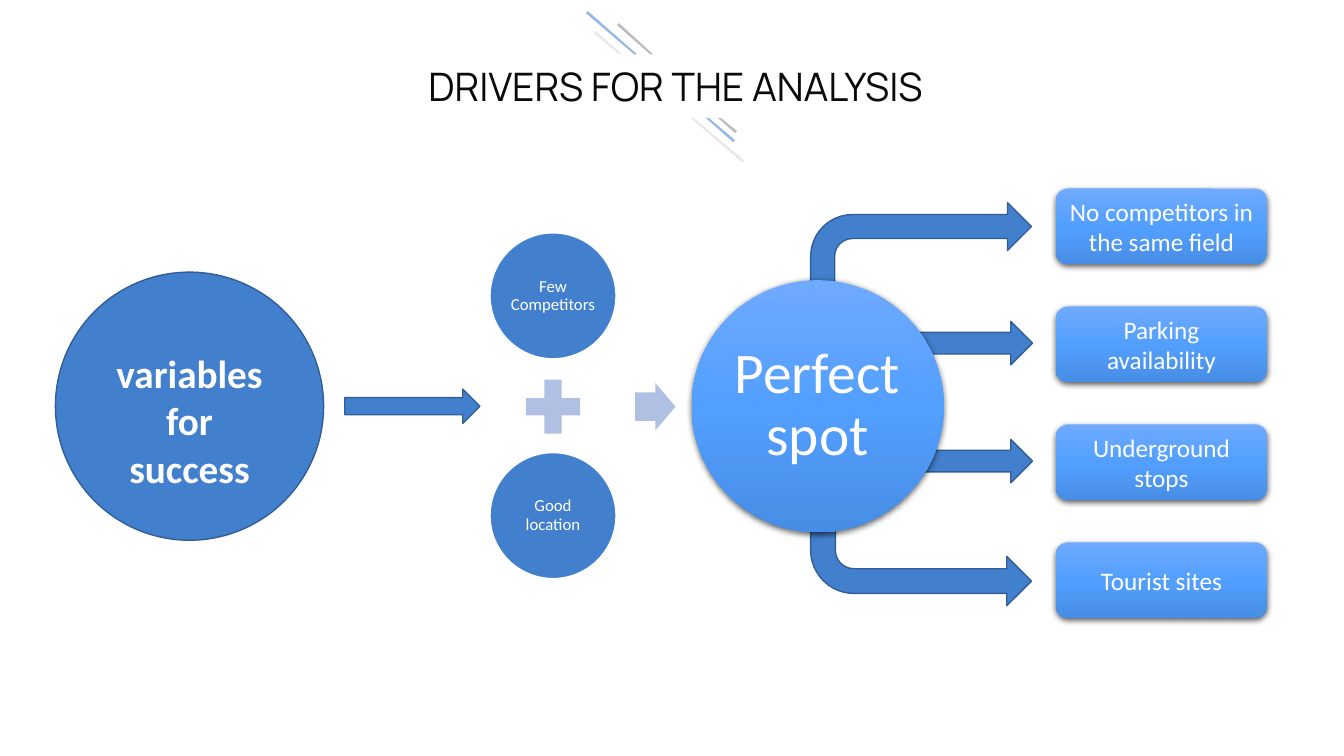
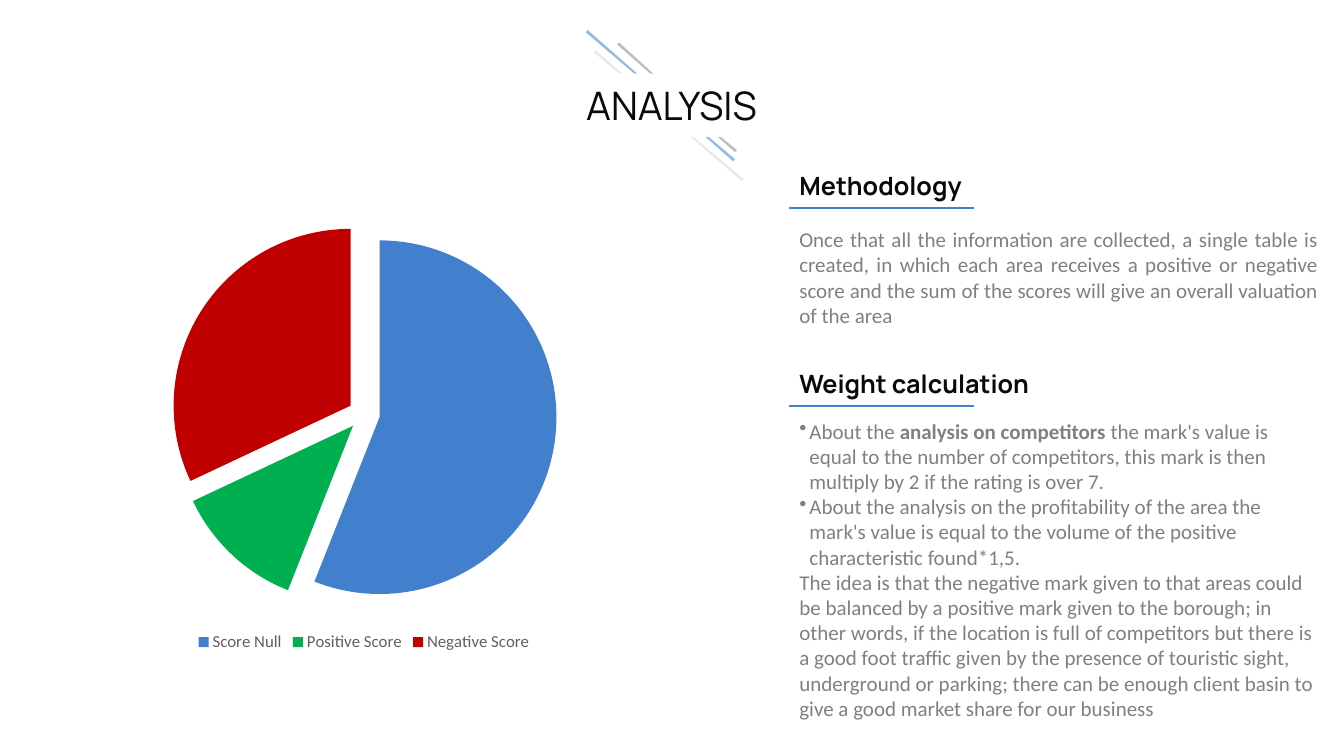
from lxml import etree
from pptx import Presentation
from pptx.chart.data import CategoryChartData as ChartData
from pptx.dml.color import RGBColor as RGB
from pptx.enum.chart import XL_CHART_TYPE as Chart, XL_LEGEND_POSITION as Legend
from pptx.enum.shapes import MSO_CONNECTOR as Line, MSO_SHAPE as Shape
from pptx.enum.text import MSO_ANCHOR as Anchor, PP_ALIGN as Align
from pptx.oxml import parse_xml
from pptx.oxml.ns import nsdecls, qn
from pptx.util import Inches, Pt

# Shared look
BLUE, NAVY, PALE = RGB(0x42, 0x7F, 0xCC), RGB(0x31, 0x5E, 0x97), RGB(0xB0, 0xC0, 0xE2)
INK, WHITE, TEXT = RGB(0x0A, 0x0A, 0x0A), RGB(255, 255, 255), RGB(0x80, 0x80, 0x80)
MIST, STONE, SLATE = RGB(0xD8, 0xD8, 0xD8), RGB(0x87, 0x87, 0x87), RGB(0x60, 0x60, 0x60)
GREEN, RED = RGB(0, 0xB0, 0x50), RGB(0xC0, 0, 0)
GLOSS = (0, "6EAAFF"), (50, "539FFF"), (100, "478DE5")
HEAD, BODY = "Manrope", "Calibri"
WIDE, HIGH = 13.33, 7.5

# Stripes: colour, base x and y, tip x and y, below the top of the mark
STRIPES = [
    (MIST, 6.14, 0.43, 5.89, 0.22), (BLUE, 6.29, 0.43, 5.81, 0.02),
    (STONE, 6.45, 0.43, 6.12, 0.14), (MIST, 6.85, 1.06, 7.36, 1.5),
    (BLUE, 7, 1.06, 7.27, 1.3), (STONE, 7.12, 1.06, 7.29, 1.21),
]

# Content of the drivers slide
CAUSE = "variables for success"
FACTORS = ["Few Competitors", "Good location"]
GOAL = "Perfect spot"
SPOTS = ["No competitors in the same field", "Parking availability",
         "Underground stops", "Tourist sites"]

# Content of the analysis slide
SCORES = [("Score Null", 56, BLUE), ("Positive Score", 12, GREEN), ("Negative Score", 32, RED)]
METHOD = ("Once that all the information are collected, a single table is created, in which "
          "each area receives a positive or negative score and the sum of the scores will "
          "give an overall valuation of the area")
# Each paragraph: has a bullet, then runs of text and bold
WEIGHT = [
    (True, [("About the ", False), ("analysis on competitors ", True),
            ("the mark's value is equal to the number of competitors, this mark is then "
             "multiply by 2 if the rating is over 7.", False)]),
    (True, [("About the analysis on the profitability of the area the mark's value is equal "
             "to the volume of the positive characteristic found*1,5.", False)]),
    (False, [("The idea is that the negative mark given to that areas could be balanced by a "
              "positive mark given to the borough; in other words, if the location is full of "
              "competitors but there is a good foot traffic given by the presence of touristic "
              "sight, underground or parking; there can be enough client basin to give a good "
              "market share for our business", False)]),
]
# Each section: top of heading, heading, width, top of rule, top of text, text, alignment
PARTS = [
    (1.64, "Methodology", 1.83, 2.06, 2.2, 1.11, METHOD, Align.JUSTIFY),
    (3.61, "Weight calculation", 3.19, 4.03, 4.1, 3.13, WEIGHT, Align.LEFT),
]


def write(shape, text, size=18, color=WHITE, font=BODY, bold=False, align=Align.CENTER,
          anchor=Anchor.MIDDLE, inset=(0.1, 0.05, 0.1, 0.05), space=None):
    """Fill a shape with a string or a list of (bullet, runs) paragraphs."""
    frame = shape.text_frame
    frame.word_wrap = True
    frame.vertical_anchor = anchor
    (frame.margin_left, frame.margin_top,
     frame.margin_right, frame.margin_bottom) = map(Inches, inset)
    paras = [(False, [(text, bold)])] if isinstance(text, str) else text
    for i, (dot, runs) in enumerate(paras):
        para = frame.add_paragraph() if i else frame.paragraphs[0]
        if dot:
            props = para._p.get_or_add_pPr()
            props.set("marL", str(Inches(0.1)))
            props.set("indent", str(-Inches(0.1)))
            etree.SubElement(props, qn("a:buChar")).set("char", "•")
        para.alignment = align
        if space:
            para.line_spacing = space
        for words, heavy in runs:
            run = para.add_run()
            run.text = words
            face = run.font
            face.name, face.size, face.bold = font, Pt(size), heavy
            face.color.rgb = color


def label(slide, text, x, y, w, h, **style):
    box = slide.shapes.add_textbox(*map(Inches, (x, y, w, h)))
    write(box, text, anchor=Anchor.TOP, **style)


def draw(slide, kind, x, y, w, h, fill=BLUE, edge=None):
    item = slide.shapes.add_shape(kind, *map(Inches, (x, y, w, h)))
    paint(item, fill, edge)
    return item


def paint(item, fill, edge=None):
    item.shadow.inherit = False
    item.fill.solid()
    item.fill.fore_color.rgb = fill
    if edge is None:
        item.line.fill.background()
    else:
        item.line.color.rgb = edge
        item.line.width = Pt(1)


def gloss(item):
    """Give a shape the glossy gradient and a soft shadow."""
    props = item._element.spPr
    stops = "".join(f'<a:gs pos="{pos * 1000}"><a:srgbClr val="{tone}"/></a:gs>'
                    for pos, tone in GLOSS)
    props.replace(props.find(qn("a:solidFill")), parse_xml(
        f'<a:gradFill {nsdecls("a")} rotWithShape="1"><a:gsLst>{stops}</a:gsLst>'
        '<a:lin ang="5400000" scaled="0"/></a:gradFill>'))
    props.find(qn("a:effectLst")).append(parse_xml(
        f'<a:outerShdw {nsdecls("a")} blurRad="{Pt(4.5)}" dist="{Pt(1.5)}" dir="5400000" '
        'rotWithShape="0"><a:srgbClr val="000000"><a:alpha val="63000"/></a:srgbClr>'
        '</a:outerShdw>'))


def title(slide, text, mid, top):
    """Add the striped mark and the title that sits in its gap."""
    for tone, bx, by, tx, ty in STRIPES:
        spots = [(Inches(x), Inches(top + y)) for x, y in
                 [(bx, by), (tx, ty), (tx + 0.02, ty - 0.02), (bx + 0.03, by)]]
        path = slide.shapes.build_freeform(*spots[0])
        path.add_line_segments(spots[1:], close=True)
        mark = path.convert_to_shape()
        paint(mark, tone)
        shade = mark._element.spPr.find(".//" + qn("a:srgbClr"))
        etree.SubElement(shade, qn("a:alpha")).set("val", "55000")
    label(slide, text, mid - 6.45, top + 0.46, 12.9, 0.57, size=28, color=INK, font=HEAD)


def drivers(slide):
    mid, row = 4.03, 1.17
    # Arrows behind the goal
    for i in (1, 2):
        draw(slide, Shape.RIGHT_ARROW, 8.92, 2.02 + i * row, 1.32, 0.43, edge=NAVY)
    low = draw(slide, Shape.BENT_ARROW, 8.04, 5.03, 2.19, 0.98, edge=NAVY)
    low._element.spPr.xfrm.set("flipV", "1")
    draw(slide, Shape.BENT_ARROW, 8.04, 2.01, 2.19, 0.95, edge=NAVY)
    title(slide, "DRIVERS FOR THE ANALYSIS", 6.7, 0.11)

    # Cause
    disc = draw(slide, Shape.OVAL, 0.55, mid - 1.33, 2.66, 2.66, edge=NAVY)
    write(disc, CAUSE, size=28, bold=True, inset=(0.1, 0.33, 0.1, 0.05))
    draw(slide, Shape.RIGHT_ARROW, 3.42, mid - 0.17, 1.34, 0.34, edge=NAVY)

    # Factors
    for i, text in enumerate(FACTORS):
        disc = draw(slide, Shape.OVAL, 4.86, 2.31 + i * 2.18, 1.25, 1.25, edge=WHITE)
        write(disc, text, size=12, space=0.9, inset=[0.01] * 4)
    draw(slide, Shape.MATH_PLUS, 5.12, mid - 0.36, 0.73, 0.73, PALE)
    arrow = draw(slide, Shape.RIGHT_ARROW, 6.3, mid - 0.23, 0.4, 0.47, PALE)
    arrow.adjustments[0] = 0.6

    # Goal and what makes it
    disc = draw(slide, Shape.OVAL, 6.86, mid - 1.25, 2.5, 2.5)
    gloss(disc)
    write(disc, GOAL, size=41, space=0.9, inset=[0.06] * 4)
    for i, text in enumerate(SPOTS):
        tag = draw(slide, Shape.ROUNDED_RECTANGLE, 10.47, 1.87 + i * row, 2.1, 0.75)
        gloss(tag)
        write(tag, text)


def pie(slide):
    data = ChartData()
    data.categories = [name for name, _, _ in SCORES]
    data.add_series("Series 1", [value for _, value, _ in SCORES])
    chart = slide.shapes.add_chart(
        Chart.PIE, *map(Inches, (0.9, 2.06, 5.42, 4.45)), data).chart
    chart.has_title = False
    chart.font.name, chart.font.size = BODY, Pt(10)
    chart.font.color.rgb = INK
    chart.has_legend = True
    key = chart.legend
    key.position, key.include_in_layout = Legend.BOTTOM, False
    key.font.name, key.font.size = BODY, Pt(12)
    key.font.color.rgb = SLATE
    plot = chart.plots[0]
    plot.vary_by_categories = True
    series = plot.series[0]
    series.format.line.fill.background()
    burst = etree.Element(qn("c:explosion"))
    burst.set("val", "9")
    series._element.find(qn("c:spPr")).addnext(burst)
    for i, (_, _, tone) in enumerate(SCORES):
        look = series.points[i].format
        look.fill.solid()
        look.fill.fore_color.rgb = tone
        look.line.fill.background()


def analysis(slide):
    title(slide, "ANALYSIS", 6.66, 0.3)
    pie(slide)
    left = 7.83
    for top, head, wide, rule, start, high, text, align in PARTS:
        label(slide, head, left, top, wide, 0.4, color=INK, font=HEAD, bold=True,
              align=Align.LEFT)
        label(slide, text, left, start, 5.34, high, size=15, color=TEXT, align=align)
        line = slide.shapes.add_connector(
            Line.STRAIGHT, *map(Inches, (left, rule, left + 1.83, rule)))
        line.line.color.rgb = BLUE
        line.line.width = Pt(1.5)
        etree.SubElement(line._element.spPr, qn("a:effectLst"))


def main():
    deck = Presentation()
    deck.slide_width, deck.slide_height = Inches(WIDE), Inches(HIGH)
    for build in (drivers, analysis):
        build(deck.slides.add_slide(deck.slide_layouts[6]))
    deck.save("out.pptx")


if __name__ == "__main__":
    main()
